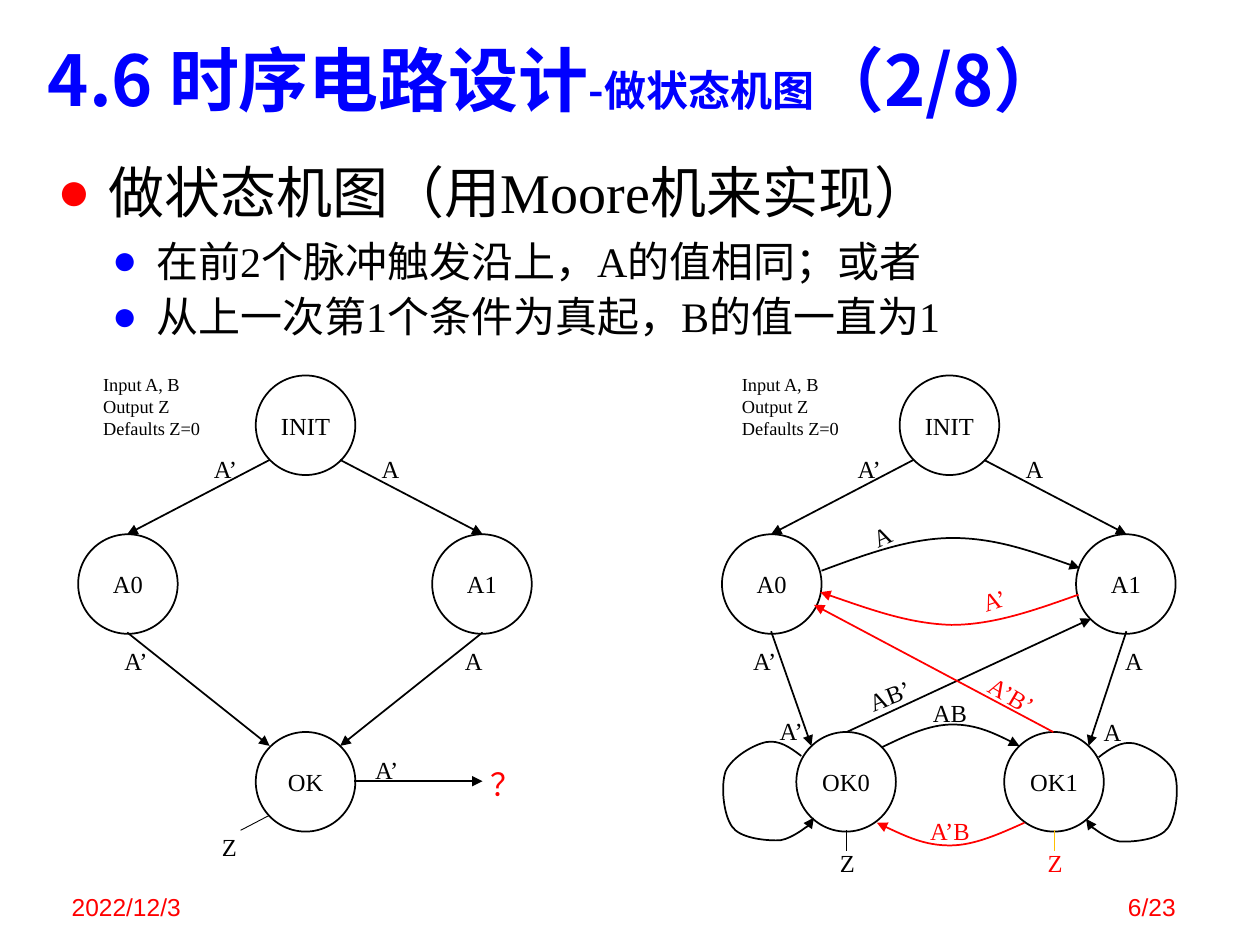
from pptx import Presentation
from pptx.dml.color import RGBColor
from pptx.enum.shapes import MSO_CONNECTOR, MSO_SHAPE
from pptx.enum.text import MSO_ANCHOR, MSO_AUTO_SIZE, PP_ALIGN
from pptx.oxml.ns import qn
from pptx.util import Inches, Pt
from lxml.etree import SubElement

BLACK, RED, BLUE, GOLD = "000000", "FF0000", "0000FF", "FFC000"
SERIF, SANS, HEADING = "Times New Roman", "Arial", "Noto Sans CJK JP"
DIAMETER = 0.79


def rgb(color):
    return RGBColor.from_string(color)


def style_runs(paragraph, size, color=BLACK, name=SERIF):
    for run in paragraph.runs:
        run.font.size, run.font.name = Pt(size), name
        run.font.color.rgb = rgb(color)


def style_line(shape, color, width, arrow=True):
    """Set the outline of a connector or curve and remove its shadow."""
    shape.line.color.rgb = rgb(color)
    shape.line.width = Pt(width)
    if arrow:
        SubElement(shape.line._get_or_add_ln(), qn("a:tailEnd"), type="triangle")
    SubElement(shape._element.spPr, qn("a:effectLst"))


def place(shape, left, top, width, height):
    shape.left, shape.top = Inches(left), Inches(top)
    shape.width, shape.height = Inches(width), Inches(height)


def add_text(slide, box, text, size, color=BLACK, name=SERIF, align=PP_ALIGN.LEFT,
             anchor=MSO_ANCHOR.TOP, wrap=True):
    shape = slide.shapes.add_textbox(*map(Inches, box))
    frame = shape.text_frame
    frame.text = text
    frame.word_wrap, frame.vertical_anchor = wrap, anchor
    for paragraph in frame.paragraphs:
        paragraph.alignment = align
        style_runs(paragraph, size, color, name)
    return shape


class Diagram:
    """Draws the parts of a state machine, in inches from its left top corner."""

    def __init__(self, slide, left, top):
        self.slide, self.left, self.top = slide, left, top

    def point(self, x, y):
        return Inches(self.left + x), Inches(self.top + y)

    def state(self, name, x, y):
        shape = self.slide.shapes.add_shape(
            MSO_SHAPE.OVAL, *self.point(x, y), Inches(DIAMETER), Inches(DIAMETER))
        shape.shadow.inherit = False
        shape.fill.background()
        shape.line.color.rgb = rgb(BLACK)
        shape.line.width = Pt(1)
        frame = shape.text_frame
        frame.text = name
        frame.word_wrap, frame.vertical_anchor = False, MSO_ANCHOR.MIDDLE
        frame.paragraphs[0].alignment = PP_ALIGN.CENTER
        style_runs(frame.paragraphs[0], 14)

    def line(self, start, end, color=BLACK, width=1, arrow=True):
        connector = self.slide.shapes.add_connector(
            MSO_CONNECTOR.STRAIGHT, *self.point(*start), *self.point(*end))
        style_line(connector, color, width, arrow)

    def curve(self, points, color=BLACK):
        """Draw a start point followed by Bezier triples."""
        start, *rest = [self.point(*point) for point in points]
        builder = self.slide.shapes.build_freeform(*start)
        builder.add_line_segments(rest, close=False)
        shape = builder.convert_to_shape()
        segments = list(shape._element.iter(qn("a:lnTo")))
        outline = segments[0].getparent()
        for index in range(0, len(segments), 3):
            bezier = SubElement(outline, qn("a:cubicBezTo"))
            for segment in segments[index:index + 3]:
                bezier.append(segment[0])
                outline.remove(segment)
        shape.fill.background()
        style_line(shape, color, 1)

    def label(self, text, x, y, color=BLACK, rotation=0, size=14):
        """Write a label centred on the point x, y."""
        box = (self.left + x - 0.3, self.top + y - 0.17, 0.6, 0.34)
        shape = add_text(self.slide, box, text, size, color, align=PP_ALIGN.CENTER,
                         anchor=MSO_ANCHOR.MIDDLE, wrap=False)
        shape.rotation = rotation


def add_title(slide):
    title = slide.shapes.title
    place(title, 0.28, 0.24, 9.5, 0.77)
    frame = title.text_frame
    frame.auto_size, frame.vertical_anchor = MSO_AUTO_SIZE.NONE, MSO_ANCHOR.TOP
    paragraph = frame.paragraphs[0]
    paragraph.alignment = PP_ALIGN.LEFT
    for text, size in (("4.6 时序电路设计", 40), ("-做状态机图", 24), ("（2/8）", 40)):
        run = paragraph.add_run()
        run.text = text
        run.font.size, run.font.bold, run.font.name = Pt(size), True, HEADING
        run.font.color.rgb = rgb(BLUE)
        SubElement(run.font._element, qn("a:ea"), typeface=HEADING)


def add_conditions(slide):
    body = slide.placeholders[1]
    place(body, 0.36, 1.2, 9.13, 1.56)
    frame = body.text_frame
    frame.auto_size = MSO_AUTO_SIZE.NONE
    items = (
        ("做状态机图（用Moore机来实现）", 0, 32, 0, RED, 0.4, 0.4),
        ("在前2个脉冲触发沿上，A的值相同；或者", 1, 24, 6, BLUE, 0.78, 0.35),
        ("从上一次第1个条件为真起，B的值一直为1", 1, 24, 3, BLUE, 0.78, 0.35),
    )
    frame.text = "\n".join(item[0] for item in items)
    for paragraph, item in zip(frame.paragraphs, items):
        _, level, size, space, bullet_color, margin, hanging = item
        paragraph.level, paragraph.space_before = level, Pt(space)
        style_runs(paragraph, size)
        properties = paragraph._p.get_or_add_pPr()
        properties.set("marL", str(Inches(margin)))
        properties.set("indent", str(-Inches(hanging)))
        color = SubElement(properties, qn("a:buClr"))
        SubElement(color, qn("a:srgbClr"), val=bullet_color)
        SubElement(properties, qn("a:buFont"), typeface=SERIF)
        SubElement(properties, qn("a:buChar"), char="●")


def add_first_states(diagram, note_left):
    """Draw the note and the INIT, A0 and A1 states that both diagrams share."""
    add_text(diagram.slide, (diagram.left + note_left, diagram.top - 0.07, 0.98, 0.63),
             "Input A, B\nOutput Z\nDefaults Z=0", 10.5, wrap=False)
    for name, x, y in (("INIT", 1.41, 0), ("A0", 0, 1.26), ("A1", 2.81, 1.26)):
        diagram.state(name, x, y)
    diagram.line((1.52, 0.67), (0.39, 1.26))
    diagram.line((2.08, 0.67), (3.21, 1.26))
    diagram.label("A’", 1.17, 0.74)
    diagram.label("A", 2.48, 0.74)


def add_draft_diagram(slide, left, top):
    diagram = Diagram(slide, left, top)
    add_first_states(diagram, 0.1)
    diagram.state("OK", 1.41, 2.83)
    diagram.line((0.39, 2.04), (1.52, 2.94))
    diagram.line((3.21, 2.04), (2.08, 2.94))
    diagram.line((2.19, 3.22), (3.21, 3.22))
    diagram.line((1.52, 3.49), (1.29, 3.61), width=0.5, arrow=False)
    for text, x, y in (("A’", 0.46, 2.26), ("A", 3.14, 2.26), ("A’", 2.45, 3.13),
                       ("Z", 1.2, 3.74)):
        diagram.label(text, x, y)
    diagram.label("？", 3.4, 3.24, RED, size=18)


def add_complete_diagram(slide, left, top):
    diagram = Diagram(slide, left, top)
    add_first_states(diagram, 0.06)
    for name, x, color, line_color in (("OK0", 0.59, BLACK, BLACK), ("OK1", 2.24, RED, GOLD)):
        middle = x + DIAMETER / 2
        diagram.state(name, x, 2.83)
        diagram.line((middle, 3.61), (middle, 3.77), line_color, 0.5, arrow=False)
        diagram.label("Z", middle + 0.01, 3.87, color)
    diagram.line((0.39, 2.03), (0.71, 2.94))
    diagram.line((3.21, 2.03), (2.91, 2.94))
    diagram.line((0.99, 2.83), (2.93, 1.93))
    diagram.line((2.63, 2.83), (0.73, 1.82), RED)
    diagram.curve([(0.79, 1.55), (1.14, 1.42), (1.49, 1.29), (1.83, 1.29),
                   (2.17, 1.29), (2.5, 1.41), (2.84, 1.53)])
    diagram.curve([(2.83, 1.74), (2.49, 1.86), (2.16, 1.98), (1.82, 1.98),
                   (1.48, 1.97), (1.13, 1.84), (0.78, 1.72)], RED)
    diagram.curve([(1.27, 2.95), (1.46, 2.86), (1.64, 2.77), (1.83, 2.77),
                   (2.01, 2.77), (2.19, 2.85), (2.36, 2.94)])
    diagram.curve([(2.4, 3.55), (2.2, 3.64), (2, 3.73), (1.81, 3.73),
                   (1.61, 3.73), (1.42, 3.64), (1.23, 3.55)], RED)
    loop = [(0.63, 3.02), (0.54, 2.95), (0.45, 2.89), (0.35, 2.91), (0.25, 2.93),
            (0.08, 3.03), (0.03, 3.14), (-0.01, 3.25), (0.01, 3.48), (0.08, 3.58),
            (0.14, 3.67), (0.33, 3.69), (0.43, 3.69), (0.52, 3.7), (0.66, 3.59),
            (0.66, 3.59), (0.71, 3.56), (0.72, 3.54), (0.73, 3.51)]
    diagram.curve(loop)
    diagram.curve([(3.62 - x, y + 0.01) for x, y in loop])
    for text, x, y, color, rotation in (
            ("A’", 0.34, 2.26, BLACK, 0), ("A", 3.27, 2.26, BLACK, 0),
            ("A’", 0.55, 2.82, BLACK, 0), ("A", 3.1, 2.83, BLACK, 0),
            ("A", 1.27, 1.27, BLACK, 336.1), ("A’", 2.16, 1.78, RED, 341.8),
            ("AB’", 1.33, 2.54, BLACK, 338.6), ("A’B’", 2.3, 2.54, RED, 30.4),
            ("AB", 1.81, 2.68, BLACK, 0), ("A’B", 1.81, 3.61, RED, 0)):
        diagram.label(text, x, y, color, rotation)


def add_footer(slide):
    for text, left, align in (("2022/12/3", 0.47, PP_ALIGN.LEFT),
                              ("6/23", 7.35, PP_ALIGN.RIGHT)):
        add_text(slide, (left, 6.86, 2.08, 0.5), text, 14, RED, SANS, align,
                 MSO_ANCHOR.BOTTOM)


def main():
    presentation = Presentation()
    presentation.slide_width, presentation.slide_height = Inches(10), Inches(7.5)
    slide = presentation.slides.add_slide(presentation.slide_layouts[1])
    add_title(slide)
    add_conditions(slide)
    add_draft_diagram(slide, 0.62, 2.98)
    add_complete_diagram(slide, 5.73, 2.98)
    add_footer(slide)
    presentation.save("out.pptx")


if __name__ == "__main__":
    main()
